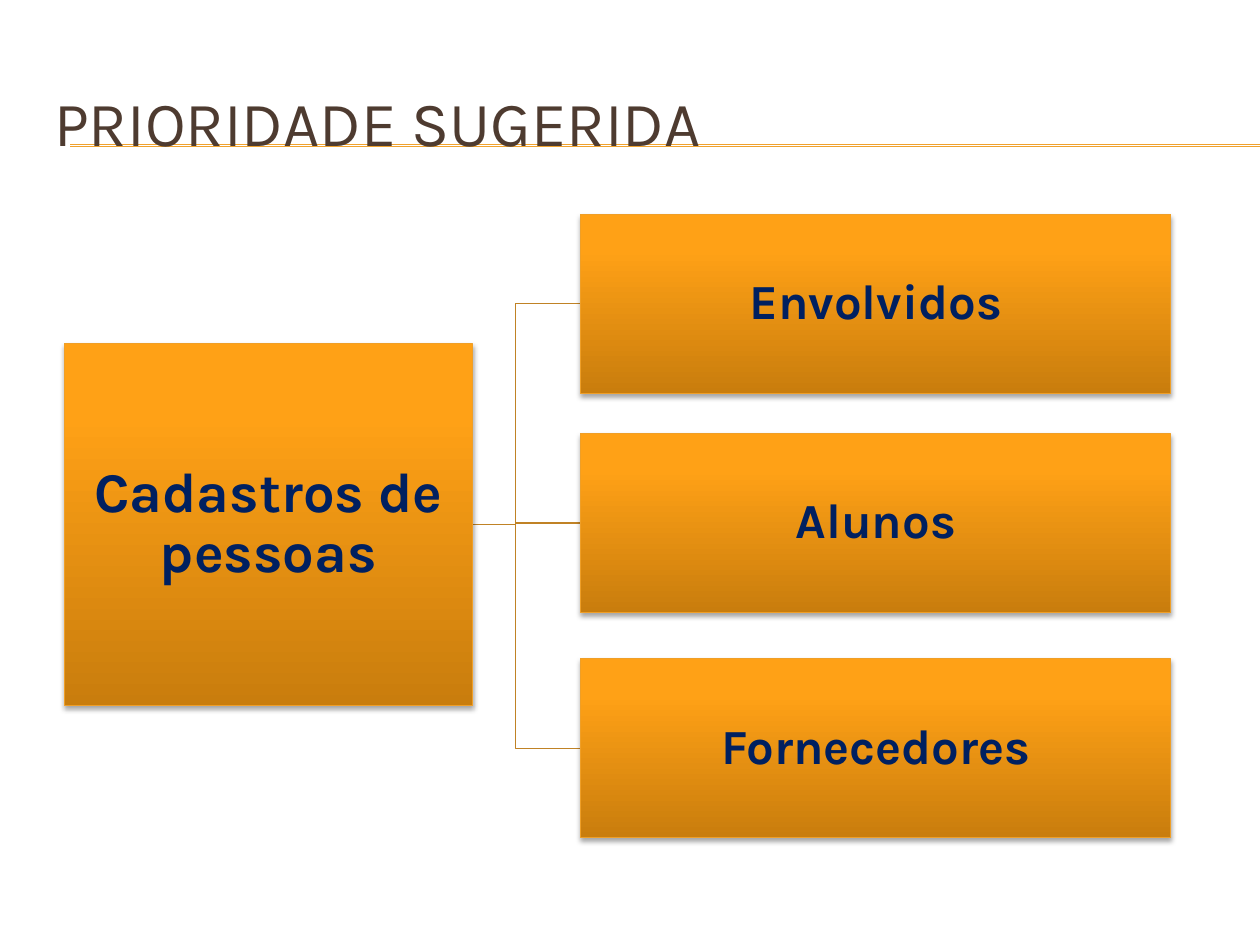
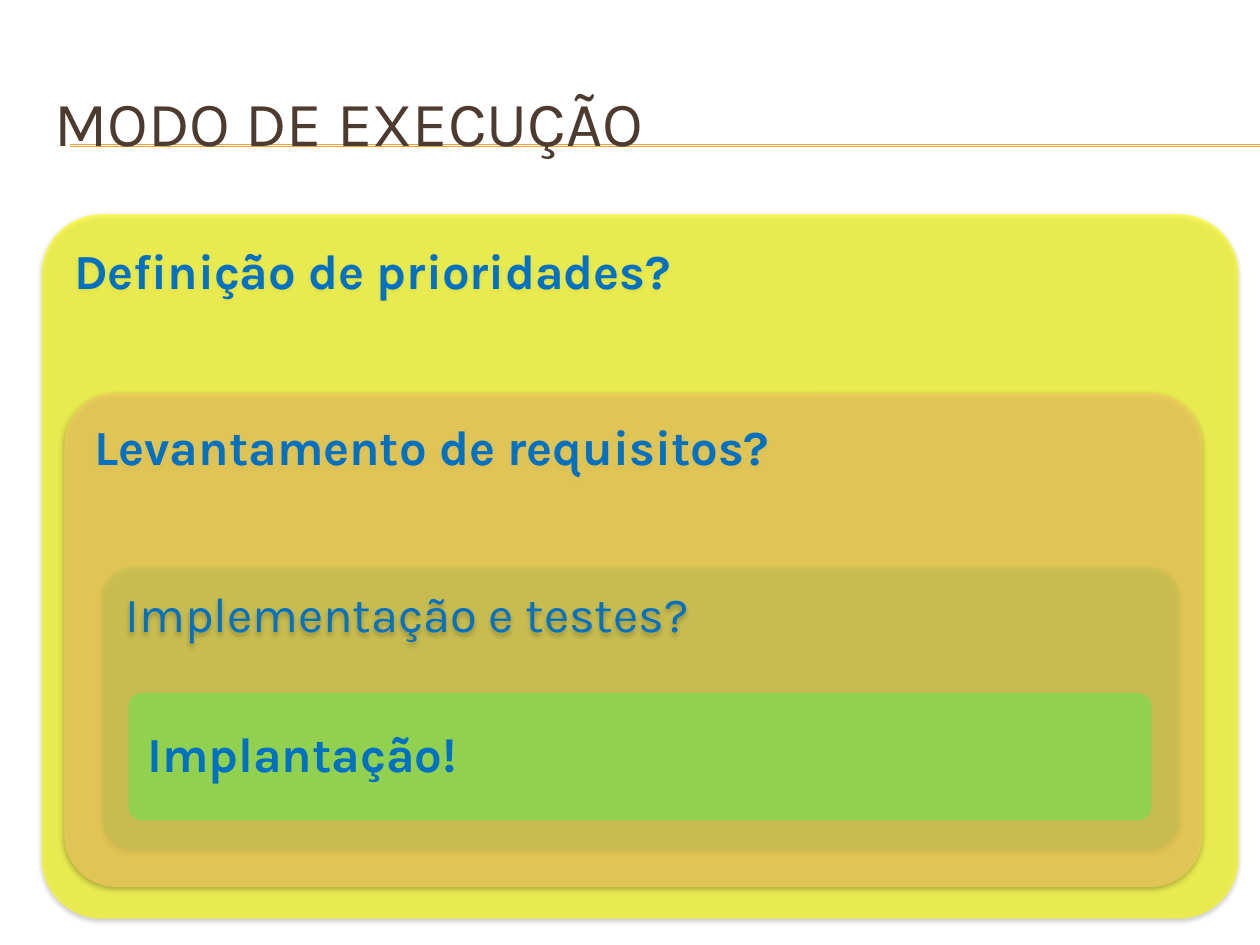
from lxml.etree import SubElement
from pptx import Presentation
from pptx.dml.color import RGBColor
from pptx.enum.shapes import MSO_CONNECTOR, MSO_SHAPE
from pptx.enum.text import MSO_ANCHOR, MSO_AUTO_SIZE, PP_ALIGN
from pptx.oxml.ns import qn
from pptx.util import Cm, Pt

# Content: sizes in cm as left, top, width, height
TITLES = ["PRIORIDADE SUGERIDA", "MODO DE EXECUÇÃO"]

ROOT = ("Cadastros de pessoas", (1.3, 6.93, 8.23, 7.29))
LEAVES = [("Envolvidos", 4.32), ("Alunos", 8.74), ("Fornecedores", 13.28)]
LEAF_X, LEAF_W, LEAF_H = 11.71, 11.89, 3.61
STEM_X = 9.07

# text, box, corner, fill, opacity, bold, shadow, anchor
STAGES = [
    ("Definição de prioridades?", (0.84, 4.32, 24.13, 14.2),
     0.085, "FFFF00", 60, True, True, MSO_ANCHOR.TOP),
    ("Levantamento de requisitos?", (1.3, 7.92, 22.94, 9.96),
     0.105, "F3CD60", 73, True, True, MSO_ANCHOR.TOP),
    ("Implementação e testes?", (2.06, 11.43, 21.72, 5.69),
     0.105, "92D050", 16, False, True, MSO_ANCHOR.TOP),
    ("Implantação!", (2.59, 13.97, 20.62, 2.57),
     0.105, "92D050", 100, True, False, MSO_ANCHOR.MIDDLE),
]

# Shared style
FONT = "Karla"
BROWN, NAVY, BLUE, PURPLE = "4E3B30", "002060", "0070C0", "7030A0"
GOLD, EDGE, STEM = "F0A22E", "EF9F28", "C08225"
GRADE = [("C97D0D", 0), ("FFA116", 0.8)]
TITLE_BOX = (0.84, 1.27, 24.13, 2.34)
RULES = [2.92, 2.95]
RULE_X, SLIDE_W, SLIDE_H = 1.42, 25.4, 19.05


def color(code):
    """Turn a hex string into a colour."""
    return RGBColor.from_string(code)


def apply(target, **values):
    """Set each named value on the target."""
    for name, value in values.items():
        setattr(target, name, value)


def cms(box):
    """Give every number of a box as a length."""
    return [Cm(n) for n in box]


def write(shape, text, size, ink, bold=False, inset=0.05,
          align=PP_ALIGN.LEFT, anchor=MSO_ANCHOR.MIDDLE, space=0.9):
    """Put one styled paragraph in a shape and return its run."""
    frame = shape.text_frame
    edge = Cm(inset)
    apply(frame, word_wrap=True, auto_size=MSO_AUTO_SIZE.NONE,
          vertical_anchor=anchor, margin_left=edge, margin_right=edge,
          margin_top=edge, margin_bottom=edge)
    para = frame.paragraphs[0]
    apply(para, alignment=align, line_spacing=space)
    run = para.add_run()
    run.text = text
    apply(run.font, name=FONT, size=Pt(size), bold=bold)
    run.font.color.rgb = color(ink)
    return run


def outline(run, code):
    """Draw a thin line around the letters of a run."""
    props = run.font.fill._xPr
    line = SubElement(props, qn("a:ln"), w=str(Pt(0.75)))
    fill = SubElement(line, qn("a:solidFill"))
    SubElement(fill, qn("a:srgbClr"), val=code)
    props.insert(0, line)


def shade(shape):
    """Cast a soft shadow below a shape."""
    list_ = shape.element.spPr.find(qn("a:effectLst"))
    cast = SubElement(list_, qn("a:outerShdw"), blurRad=str(Pt(3.1)),
                      dist=str(Pt(1.8)), dir="5400000", rotWithShape="0")
    black = SubElement(cast, qn("a:srgbClr"), val="000000")
    SubElement(black, qn("a:alpha"), val="35000")


def link(slide, kind, start, end, code):
    """Add a thin connector without shadow."""
    line = slide.shapes.add_connector(kind, *cms(start + end))
    line.line.width = Pt(0.75)
    line.line.color.rgb = color(code)
    SubElement(line.element.spPr, qn("a:effectLst"))
    return line


def add_card(slide, text, box, size):
    """Add an orange card with centred text."""
    card = slide.shapes.add_shape(MSO_SHAPE.RECTANGLE, *cms(box))
    card.shadow.inherit = False
    card.fill.gradient()
    card.fill.gradient_angle = 90
    for stop, (code, place) in zip(card.fill.gradient_stops, GRADE):
        stop.color.rgb = color(code)
        stop.position = place
    card.line.color.rgb = color(EDGE)
    card.line.width = Pt(0.75)
    shade(card)
    run = write(card, text, size, NAVY, True, align=PP_ALIGN.CENTER)
    outline(run, PURPLE)


def add_stage(slide, text, box, corner, code, clear, bold, cast, anchor):
    """Add one of the nested rounded boxes."""
    stage = slide.shapes.add_shape(MSO_SHAPE.ROUNDED_RECTANGLE, *cms(box))
    stage.adjustments[0] = corner
    stage.shadow.inherit = False
    stage.fill.solid()
    stage.fill.fore_color.rgb = color(code)
    stage.line.fill.background()
    if clear < 100:
        tint = next(stage.element.spPr.iter(qn("a:srgbClr")))
        SubElement(tint, qn("a:alpha"), val=str(clear * 1000))
    if cast:
        shade(stage)
    write(stage, text, 28, BLUE, bold, inset=0.3, anchor=anchor)


def add_page(deck, layout, text):
    """Add a slide with its formatted title."""
    slide = deck.slides.add_slide(layout)
    title = slide.shapes.title
    names = ("left", "top", "width", "height")
    apply(title, **dict(zip(names, cms(TITLE_BOX))))
    write(title, text, 36, BROWN, inset=0.25, space=1.0)
    return slide


def add_tree(slide):
    """Draw the root card, its branches and its leaves."""
    text, box = ROOT
    mid = box[1] + box[3] / 2
    for _, top in LEAVES:
        link(slide, MSO_CONNECTOR.ELBOW, (STEM_X, mid),
             (LEAF_X, top + LEAF_H / 2), STEM)
    add_card(slide, text, box, 32)
    for name, top in LEAVES:
        add_card(slide, name, (LEAF_X, top, LEAF_W, LEAF_H), 28)


deck = Presentation()
apply(deck, slide_width=Cm(SLIDE_W), slide_height=Cm(SLIDE_H))
layout = deck.slide_layouts[5]
first, second = [add_page(deck, layout, text) for text in TITLES]

# The rules under the title belong to the layout, behind the text
for y in RULES:
    rule = link(first, MSO_CONNECTOR.STRAIGHT, (RULE_X, y), (SLIDE_W, y), GOLD)
    layout.shapes.element.append(rule.element)

add_tree(first)
for stage in STAGES:
    add_stage(second, *stage)

deck.save("out.pptx")
